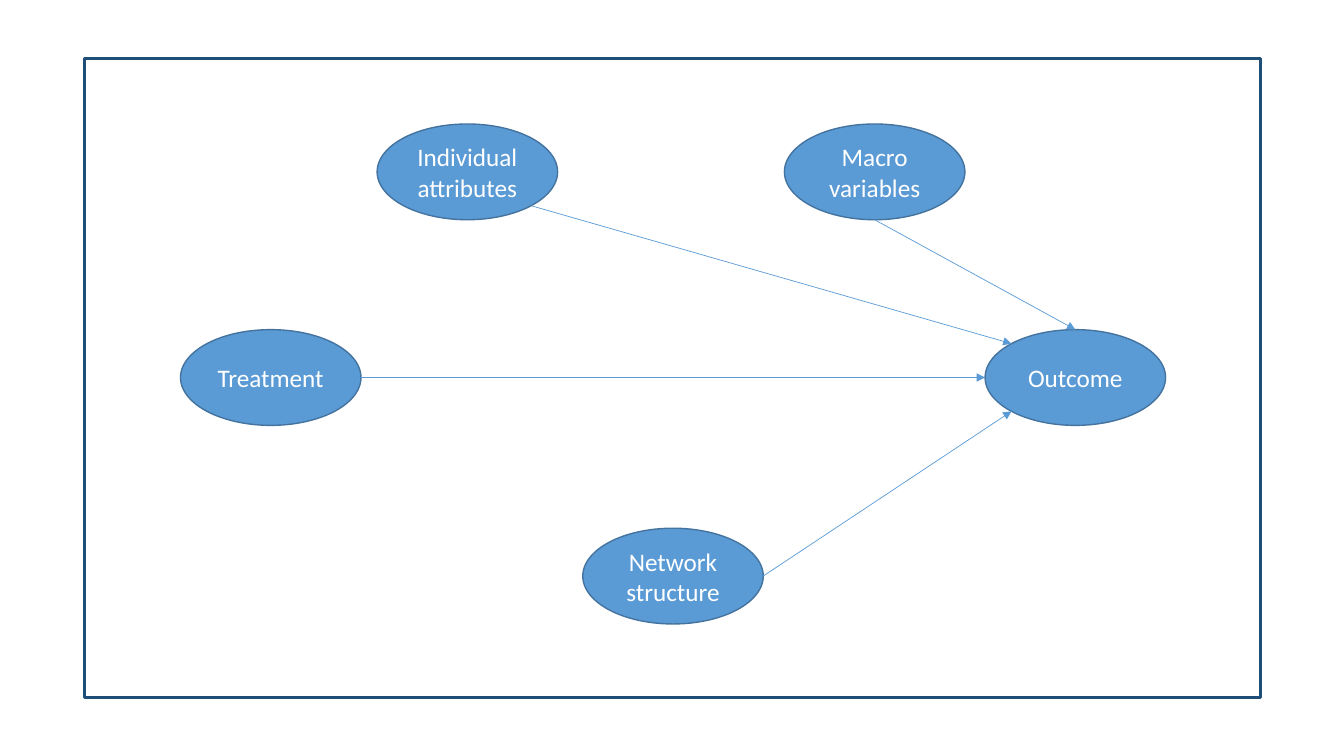
from dataclasses import dataclass
from math import cos, radians, sin

from lxml.etree import SubElement
from pptx import Presentation
from pptx.dml.color import RGBColor
from pptx.enum.shapes import MSO_CONNECTOR, MSO_SHAPE
from pptx.enum.text import MSO_ANCHOR, PP_ALIGN
from pptx.oxml.ns import qn
from pptx.shapes.shapetree import GroupShapes
from pptx.util import Inches, Pt

WIDTH, HEIGHT = 1.79, 0.95
BLUE, EDGE, NAVY, WHITE = "5B9BD5", "43739E", "1F4E79", "FFFFFF"


@dataclass(frozen=True)
class Node:
    text: str
    left: float
    top: float

    def rim(self, angle: float) -> tuple[float, float]:
        """Point on the ellipse, clockwise in degrees from the right."""
        turn = radians(angle)
        return (self.left + WIDTH / 2 * (1 + cos(turn)),
                self.top + HEIGHT / 2 * (1 + sin(turn)))


@dataclass(frozen=True)
class Link:
    start: Node
    leave: float
    end: Node
    enter: float


def color(code: str) -> RGBColor:
    return RGBColor.from_string(code)


def draw_node(shapes: GroupShapes, node: Node) -> None:
    oval = shapes.add_shape(MSO_SHAPE.OVAL, Inches(node.left), Inches(node.top),
                            Inches(WIDTH), Inches(HEIGHT))
    oval.shadow.inherit = False
    oval.fill.solid()
    oval.fill.fore_color.rgb = color(BLUE)
    oval.line.color.rgb = color(EDGE)
    oval.line.width = Pt(1)
    frame = oval.text_frame
    frame.word_wrap = True
    frame.vertical_anchor = MSO_ANCHOR.MIDDLE
    frame.text = node.text
    para = frame.paragraphs[0]
    para.alignment = PP_ALIGN.CENTER
    para.font.name = "Calibri"
    para.font.size = Pt(18)
    para.font.color.rgb = color(WHITE)


def draw_link(shapes: GroupShapes, link: Link) -> None:
    ends = link.start.rim(link.leave) + link.end.rim(link.enter)
    arrow = shapes.add_connector(MSO_CONNECTOR.STRAIGHT, *map(Inches, ends))
    arrow.line.color.rgb = color(BLUE)
    arrow.line.width = Pt(0.5)
    props = arrow._element.spPr
    SubElement(props.find(qn("a:ln")), qn("a:tailEnd"), type="triangle")
    SubElement(props, qn("a:effectLst"))


def draw_frame(shapes: GroupShapes) -> None:
    box = shapes.add_shape(MSO_SHAPE.RECTANGLE, Inches(0.84), Inches(0.58),
                           Inches(11.66), Inches(6.34))
    box.shadow.inherit = False
    box.fill.background()
    box.line.color.rgb = color(NAVY)
    box.line.width = Pt(2.25)


# Factors and the outcome they act on
treat = Node("Treatment", 1.79, 3.27)
network = Node("Network structure", 5.78, 5.24)
macro = Node("Macro variables", 7.78, 1.23)
person = Node("Individual attributes", 3.74, 1.23)
outcome = Node("Outcome", 9.77, 3.27)
nodes = [treat, network, macro, person, outcome]

# Arrows, with the angles at which they leave and enter
links = [
    Link(person, 45, outcome, 225),
    Link(macro, 90, outcome, 270),
    Link(network, 0, outcome, 135),
    Link(treat, 0, outcome, 180),
]

# Slide
deck = Presentation()
deck.slide_width, deck.slide_height = Inches(13.33), Inches(7.5)
slide = deck.slides.add_slide(deck.slide_layouts[6])

# Diagram, grouped from back to front
shapes = slide.shapes.add_group_shape().shapes
for node in nodes:
    draw_node(shapes, node)
for link in links:
    draw_link(shapes, link)
draw_frame(shapes)

deck.save("out.pptx")
